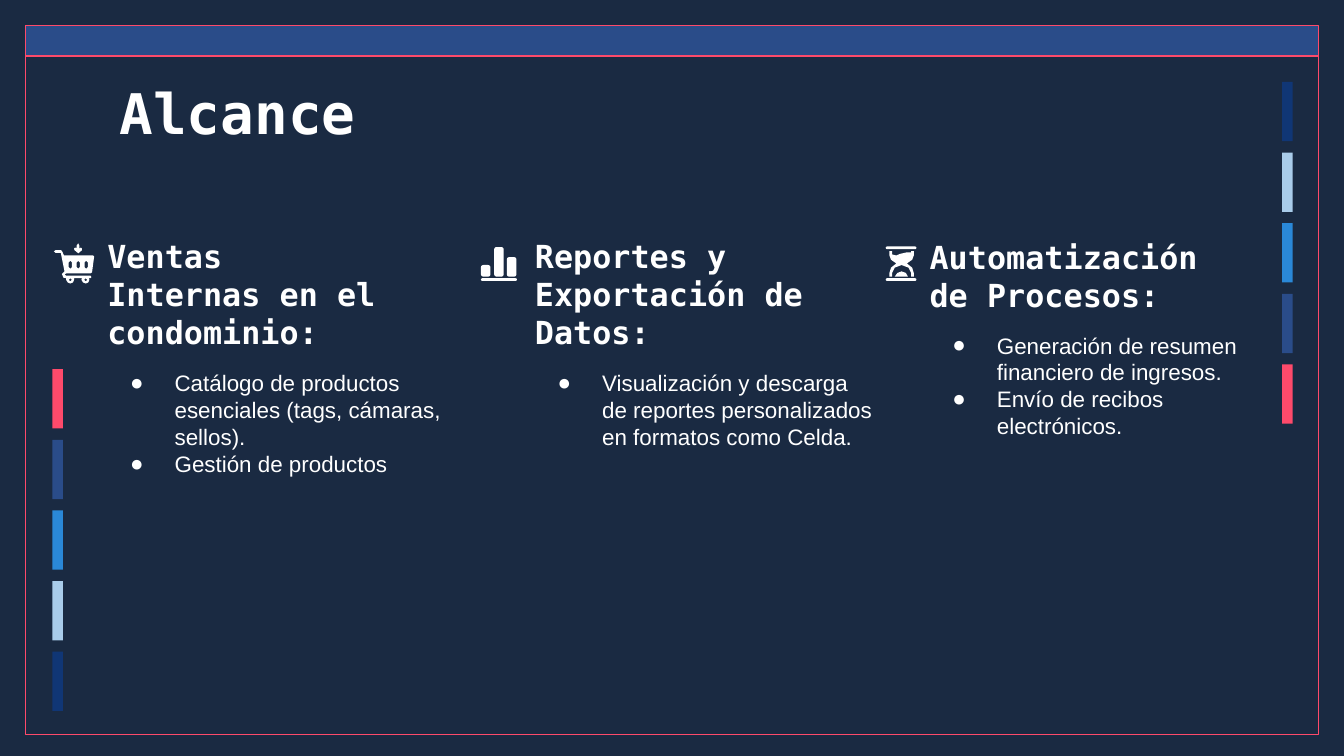
"""Build the "Alcance" slide: three scope columns with icons on a dark frame."""
import pptx
import pptx.dml.color
import pptx.enum.shapes
import pptx.enum.text
import pptx.oxml
import pptx.oxml.ns
import pptx.util

Cm = pptx.util.Cm
SHAPE = pptx.enum.shapes.MSO_SHAPE
ANCHOR = pptx.enum.text.MSO_ANCHOR

NAVY, BLUE, PINK, WHITE = "1A2A42", "2A4C89", "FE4A6B", "FFFFFF"
STRIPES = [PINK, BLUE, "2A88D8", "A9CCEA", "103675"]
STRIPE_PITCH = 1.335

TITLE_FONT = {"name": "DejaVu Sans Mono", "size": pptx.util.Pt(30), "bold": True}
HEADING_FONT = {**TITLE_FONT, "size": pptx.util.Pt(17)}
LIST_FONT = {"name": "Arial", "size": pptx.util.Pt(12), "bold": False}

LIST_DROP = 0.86
COLUMNS = [
    {"left": 1.78, "top": 5.87, "heading_width": 6.6, "list_size": (7.06, 2.39),
     "heading": ["Ventas", "Internas en el condominio:"],
     "items": ["Catálogo de productos esenciales (tags, cámaras, sellos).",
               "Gestión de productos"]},
    {"left": 9.86, "top": 5.87, "heading_width": 7.19, "list_size": (6.88, 2.24),
     "heading": ["Reportes y Exportación de Datos:"],
     "items": ["Visualización y descarga de reportes personalizados "
               "en formatos como Celda."]},
    {"left": 17.32, "top": 5.16, "heading_width": 6.58, "list_size": (6.6, 2.95),
     "heading": ["Automatización de Procesos:"],
     "items": ["Generación de resumen financiero de ingresos.",
               "Envío de recibos electrónicos."]},
]

CART_ARROW = [(46, 0), (43, 4), (43, 9), (40, 8), (38, 10), (39, 13), (46, 19),
              (53, 13), (53, 10), (51, 8), (48, 10), (48, 4)]
CART_BODY = [(3, 13), (0, 15), (3, 18), (13, 18), (20, 53), (15, 58), (18, 65),
             (23, 66), (23, 69), (26, 74), (31, 76), (36, 74), (38, 69), (38, 66),
             (53, 66), (52, 69), (55, 74), (60, 76), (65, 74), (67, 69), (66, 66),
             (69, 66), (71, 64), (69, 61), (23, 61), (20, 59), (23, 57), (69, 57),
             (72, 55), (76, 25), (74, 23), (19, 23), (15, 14), (13, 13)]
HOURGLASS_GLASS = [(41, 0), (41, 2), (33, 2), (20, 5), (13, 8), (5, 6), (5, 0),
                   (0, 0), (0, 8), (3, 16), (13, 23), (3, 31), (0, 41), (0, 48),
                   (5, 48), (5, 41), (10, 31), (23, 26), (36, 31), (41, 41),
                   (41, 48), (46, 48), (46, 41), (43, 31), (33, 23), (43, 16),
                   (46, 8), (46, 0)]
HOURGLASS_SAND = [(10, 48), (15, 41), (23, 38), (31, 41), (35, 48)]


def color(value):
    """Turn a hex string into a colour."""
    return pptx.dml.color.RGBColor.from_string(value)


def paint(shape, fill, line=None):
    """Give a shape a flat fill and an optional thin outline."""
    shape.shadow.inherit = False
    shape.fill.solid()
    shape.fill.fore_color.rgb = color(fill)
    if line:
        shape.line.color.rgb = color(line)
        shape.line.width = pptx.util.Pt(0.75)
    else:
        shape.line.fill.background()


def add_panel(slide, box, fill, line=None, rotation=0):
    """Add a plain rectangle."""
    panel = slide.shapes.add_shape(SHAPE.RECTANGLE, *map(Cm, box))
    panel.rotation = rotation
    paint(panel, fill, line)


def add_rounded(slide, box, rounding):
    """Add a white rounded icon part."""
    part = slide.shapes.add_shape(SHAPE.ROUNDED_RECTANGLE, *map(Cm, box))
    part.adjustments[0] = rounding
    paint(part, WHITE)


def add_outline(slide, left, top, contours):
    """Add a white outline whose points are in hundredths of a centimetre."""
    first, *holes = contours
    builder = slide.shapes.build_freeform(*first[0], scale=Cm(0.01))
    builder.add_line_segments(first[1:], close=True)
    for hole in holes:
        builder.move_to(*hole[0])
        builder.add_line_segments(hole[1:], close=True)
    paint(builder.convert_to_shape(Cm(left), Cm(top)), WHITE)


def pill(center, top, bottom):
    """Return the points of a narrow upright slot."""
    left, right = center - 3, center + 3
    return [(center, top), (right, top + 3), (right, bottom - 3),
            (center, bottom), (left, bottom - 3), (left, top + 3)]


def add_bullet(paragraph):
    """Give a paragraph a white bullet with a hanging indent."""
    properties = paragraph._p.get_or_add_pPr()
    properties.set("marL", str(Cm(1.27)))
    properties.set("indent", str(Cm(-0.84)))
    namespace = pptx.oxml.ns.nsdecls("a")
    for bullet in (f'<a:buClr {namespace}><a:srgbClr val="{WHITE}"/></a:buClr>',
                   f'<a:buFont {namespace} typeface="Arial"/>',
                   f'<a:buChar {namespace} char="●"/>'):
        properties.append(pptx.oxml.parse_xml(bullet))


def write(slide, holder, box, lines, font, anchor=ANCHOR.TOP, bulleted=False):
    """Place a text holder in front and fill it with formatted paragraphs."""
    slide.shapes._spTree.append(holder._element)
    for side, length in zip(("left", "top", "width", "height"), box):
        setattr(holder, side, Cm(length))
    frame = holder.text_frame
    inset = Cm(0.25)
    layout = {"word_wrap": True, "auto_size": pptx.enum.text.MSO_AUTO_SIZE.NONE,
              "vertical_anchor": anchor, "margin_left": inset, "margin_right": inset,
              "margin_top": inset, "margin_bottom": inset}
    for key, value in layout.items():
        setattr(frame, key, value)
    for index, line in enumerate(lines):
        paragraph = frame.add_paragraph() if index else frame.paragraphs[0]
        paragraph.alignment = pptx.enum.text.PP_ALIGN.LEFT
        paragraph.space_before = pptx.util.Pt(0)
        if bulleted:
            add_bullet(paragraph)
        run = paragraph.add_run()
        run.text = line
        for key, value in font.items():
            setattr(run.font, key, value)
        run.font.color.rgb = color(WHITE)


def add_frame(slide):
    """Draw the window frame and the two stacks of coloured stripes."""
    add_panel(slide, (0.48, 0.97, 24.44, 12.92), NAVY, PINK)
    add_panel(slide, (0.48, 0.48, 24.44, 0.58), BLUE, PINK)
    for left, top, stripes in ((23.77, 2.01, STRIPES[::-1]), (0.53, 7.44, STRIPES)):
        for index, stripe in enumerate(stripes):
            add_panel(slide, (left, top + index * STRIPE_PITCH, 1.12, 0.2),
                      stripe, rotation=90)


def add_icons(slide):
    """Draw the cart, bar chart and hourglass icons."""
    slots = [pill(center, 33, 48) for center in (31, 46, 61)]
    hubs = [pill(center, 66, 72) for center in (31, 60)]
    add_outline(slide, 1.02, 4.6, [CART_ARROW])
    add_outline(slide, 1.02, 4.6, [CART_BODY, *slots, *hubs])

    base = 5.23
    for left, height in ((9.09, 0.22), (9.34, 0.56), (9.58, 0.37)):
        add_rounded(slide, (left, base - height, 0.18, height), 0.25)
    add_rounded(slide, (9.09, 5.26, 0.68, 0.05), 0.5)

    add_outline(slide, 16.81, 4.75, [HOURGLASS_GLASS])
    add_outline(slide, 16.81, 4.75, [HOURGLASS_SAND])
    for top in (4.66, 5.26):
        add_rounded(slide, (16.74, top, 0.58, 0.05), 0.5)


def add_column(slide, column, list_holder):
    """Write one heading and its bulleted list."""
    left, top = column["left"], column["top"]
    heading = slide.shapes.add_textbox(0, 0, 0, 0)
    write(slide, heading, (left, top, column["heading_width"], 1.02),
          column["heading"], HEADING_FONT, ANCHOR.BOTTOM)
    write(slide, list_holder, (left, top + LIST_DROP, *column["list_size"]),
          column["items"], LIST_FONT, bulleted=True)


def main():
    """Build and save the slide."""
    deck = pptx.Presentation()
    deck.slide_width, deck.slide_height = Cm(25.4), Cm(14.29)
    slide = deck.slides.add_slide(deck.slide_layouts[4])
    slide.background.fill.solid()
    slide.background.fill.fore_color.rgb = color(NAVY)
    title, *list_holders, spare = list(slide.placeholders)
    spare._element.getparent().remove(spare._element)

    add_frame(slide)
    write(slide, title, (2.01, 1.24, 21.41, 1.6), ["Alcance"], TITLE_FONT)
    for column, list_holder in zip(COLUMNS, list_holders):
        add_column(slide, column, list_holder)
    add_icons(slide)
    deck.save("out.pptx")


if __name__ == "__main__":
    main()
